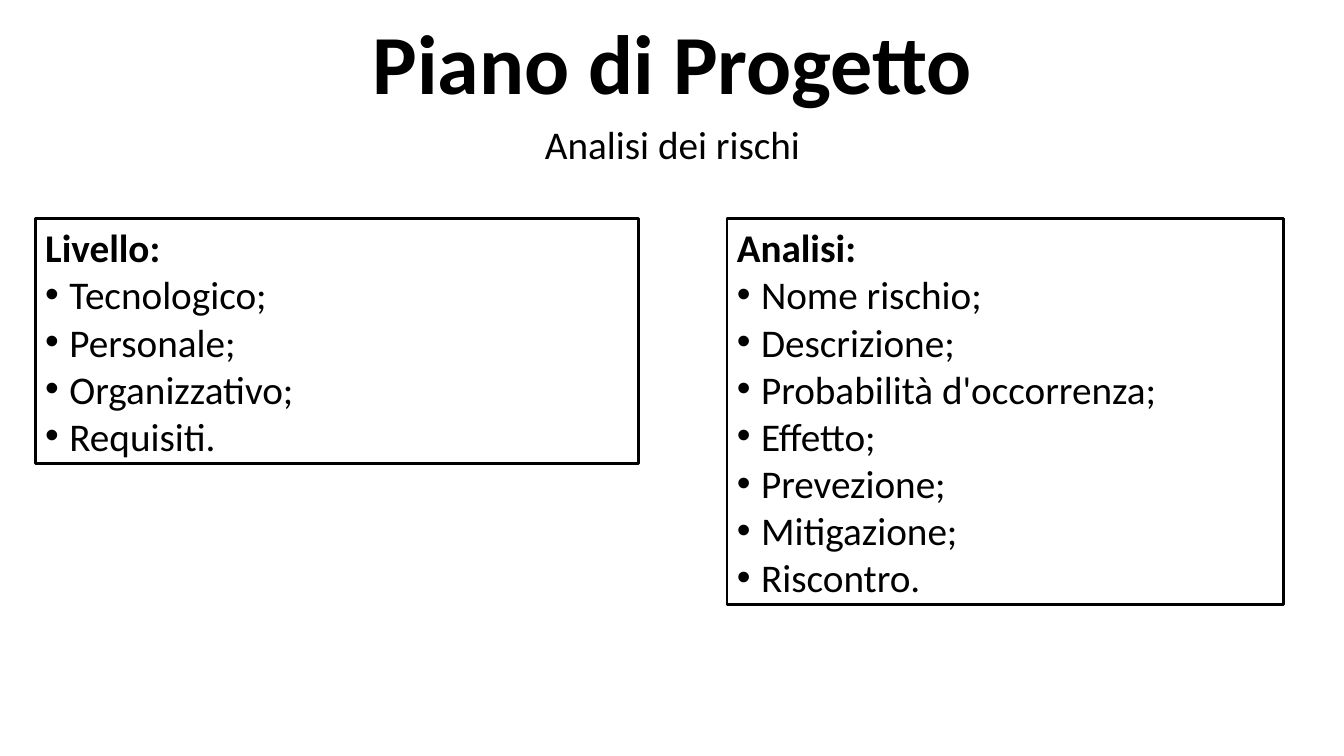
from lxml.etree import SubElement
from pptx import Presentation
from pptx.dml.color import RGBColor
from pptx.enum.shapes import MSO_SHAPE
from pptx.enum.text import MSO_ANCHOR, PP_ALIGN
from pptx.oxml.ns import qn
from pptx.util import Inches, Pt


def color(hex_text):
    """Return the colour for a hex string."""
    return RGBColor.from_string(hex_text)


class SlideBuilder:
    """Holds the style and the current slide."""

    FONT = "Calibri"
    INK = "000000"
    PAPER = "FFFFFF"
    BODY_SIZE = 28
    BULLET_INDENT = 0.24

    def __init__(self, prs):
        """Add a blank slide to the presentation."""
        self.s = prs.slides.add_slide(prs.slide_layouts[6])

    def format(self, p, size, bold=False, align=PP_ALIGN.LEFT):
        """Apply the slide's font to every run of a paragraph."""
        p.alignment = align
        for r in p.runs:
            r.font.name = self.FONT
            r.font.size = Pt(size)
            r.font.bold = bold
            r.font.color.rgb = color(self.INK)

    def bullet(self, p):
        """Give a paragraph a round bullet with a hanging indent."""
        indent = Inches(self.BULLET_INDENT)
        pPr = p._p.get_or_add_pPr()
        pPr.set("marL", str(indent))
        pPr.set("indent", str(-indent))
        SubElement(pPr, qn("a:buFont"), typeface="Arial")
        SubElement(pPr, qn("a:buChar"), char="•")

    def heading(self, text, top, height, size, bold=False, anchor=MSO_ANCHOR.TOP):
        """Add a centred line of heading text."""
        sp = self.s.shapes.add_textbox(
            Inches(1.67), Inches(top), Inches(10), Inches(height))
        tf = sp.text_frame
        tf.word_wrap = True
        tf.vertical_anchor = anchor
        tf.text = text
        self.format(tf.paragraphs[0], size, bold, PP_ALIGN.CENTER)

    def list_box(self, title, items, left, width, height):
        """Add an outlined box with a bold title and bulleted items."""
        sp = self.s.shapes.add_shape(
            MSO_SHAPE.RECTANGLE, Inches(left), Inches(2.17),
            Inches(width), Inches(height))
        sp.shadow.inherit = False
        sp.fill.solid()
        sp.fill.fore_color.rgb = color(self.PAPER)
        sp.line.color.rgb = color(self.INK)
        sp.line.width = Pt(2)
        tf = sp.text_frame
        tf.word_wrap = True
        tf.vertical_anchor = MSO_ANCHOR.TOP
        tf.text = title
        self.format(tf.paragraphs[0], self.BODY_SIZE, bold=True)
        for item in items:
            p = tf.add_paragraph()
            p.text = item
            self.format(p, self.BODY_SIZE)
            self.bullet(p)


def main():
    """Build the risk analysis slide and save it."""
    prs = Presentation()
    prs.slide_width = Inches(13.33)
    prs.slide_height = Inches(7.5)
    slide = SlideBuilder(prs)
    slide.heading("Piano di Progetto", -1.46, 2.61, 60, True, MSO_ANCHOR.BOTTOM)
    slide.heading("Analisi dei rischi", 1.14, 1.81, slide.BODY_SIZE)
    slide.list_box(
        "Livello:",
        ["Tecnologico;", "Personale;", "Organizzativo;", "Requisiti."],
        left=0.35, width=5.98, height=2.43)
    slide.list_box(
        "Analisi:",
        ["Nome rischio;", "Descrizione;", "Probabilità d'occorrenza;",
         "Effetto;", "Prevezione;", "Mitigazione;", "Riscontro."],
        left=7.21, width=5.52, height=3.83)
    prs.save("out.pptx")


main()
